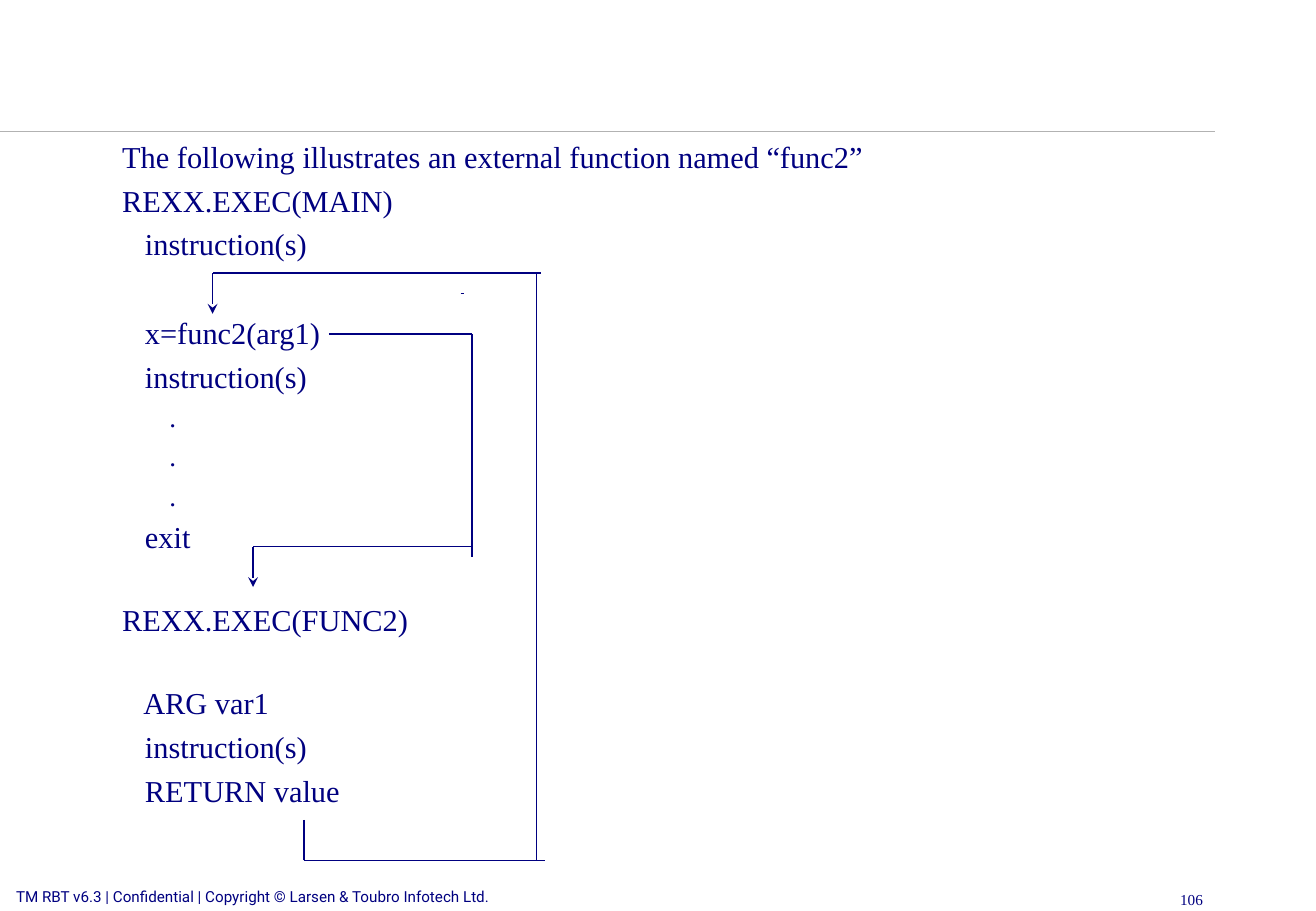
"""Slide showing how a REXX exec calls the external function func2."""
from lxml.etree import SubElement
from pptx import Presentation
from pptx.dml.color import RGBColor
from pptx.enum.shapes import MSO_CONNECTOR as Connector
from pptx.enum.text import PP_ALIGN as Align
from pptx.oxml.ns import qn
from pptx.util import Pt

PX = 7620
COLORS = {"ink": "000080", "rule": "B2B2B2"}
SERIF, SANS = "Times New Roman", "Roboto"

deck = Presentation()
deck.slide_width, deck.slide_height = 1300 * PX, 900 * PX
page = deck.slides.add_slide(deck.slide_layouts[6])


def add_text(left, top, width, height, lines, font_name, align=Align.LEFT):
    box = page.shapes.add_textbox(left * PX, top * PX, width * PX, height * PX)
    frame = box.text_frame
    frame.word_wrap = True
    for index, (text, size, space) in enumerate(lines):
        para = frame.paragraphs[0] if index == 0 else frame.add_paragraph()
        para.text = text
        para.alignment = align
        para.space_before = Pt(space)
        para.font.name = font_name
        para.font.size = Pt(size)
        para.font.color.rgb = RGBColor.from_string(COLORS["ink"])


def add_line(start, end, color="ink", arrow=False):
    line = page.shapes.add_connector(
        Connector.STRAIGHT, *(value * PX for value in (*start, *end)))
    line.line.width = Pt(1)
    line.line.color.rgb = RGBColor.from_string(COLORS[color])
    if arrow:
        SubElement(line.line._get_or_add_ln(), qn("a:tailEnd"), type="stealth")
    SubElement(line._element.spPr, qn("a:effectLst"))


add_line((0, 130), (1200, 130), color="rule")

footer = "TM RBT v6.3 | Confidential | Copyright © Larsen & Toubro Infotech Ltd."
add_text(4, 871, 565, 24, [(footer, 9, 0)], SANS)
add_text(920, 874, 280, 24, [("106", 9, 0)], SERIF, Align.RIGHT)

NEAR, DOT_GAP, CALL_GAP, BLOCK_GAP = 4.2, 4, 30.9, 27.6
listing = [
    ("The following illustrates an external function named “func2”", 18, 0),
    ("REXX.EXEC(MAIN)", 18, NEAR),
    ("   instruction(s)", 18, NEAR),
    ("   x=func2(arg1)", 18, CALL_GAP),
    ("   instruction(s)", 18, NEAR),
    *[("       .", 16, DOT_GAP)] * 3,
    ("   exit", 18, NEAR),
    ("REXX.EXEC(FUNC2)", 18, BLOCK_GAP),
    ("   ARG var1", 18, BLOCK_GAP),
    ("   instruction(s)", 18, NEAR),
    ("   RETURN value", 18, NEAR),
]
add_text(109, 131, 1104, 736, listing, SERIF)

return_route = [
    ((300, 810), (300, 850)),
    ((300, 850), (538, 850)),
    ((530, 850), (530, 270)),
    ((534, 270), (210, 270)),
]
call_route = [
    ((325, 330), (466, 330)),
    ((466, 330), (466, 550)),
    ((467, 540), (250, 540)),
]
stray_dash = ((455, 290), (458, 290))
for start, end in [*return_route, *call_route, stray_dash]:
    add_line(start, end)
for x, y in [(210, 270), (250, 540)]:
    add_line((x, y), (x, y + 40), arrow=True)

deck.save("out.pptx")
